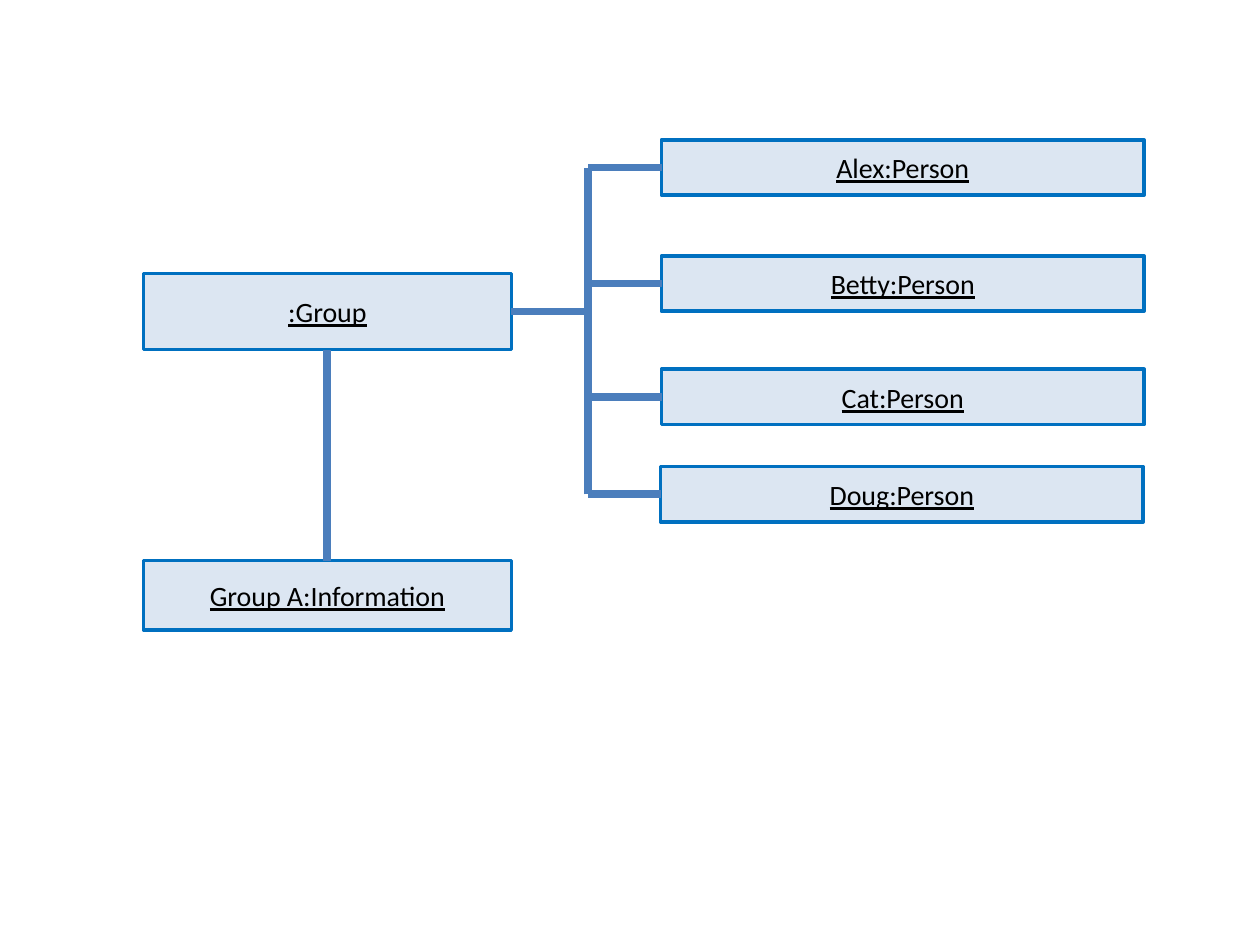
from pptx import Presentation
from pptx.dml.color import RGBColor
from pptx.enum.shapes import MSO_CONNECTOR as Connector, MSO_SHAPE as Shape
from pptx.enum.text import MSO_ANCHOR as Anchor, PP_ALIGN as Align
from pptx.oxml.ns import qn
from pptx.util import Pt
from lxml.etree import SubElement

BOX_FILL = RGBColor(0xDC, 0xE6, 0xF2)
BOX_EDGE = RGBColor(0x00, 0x70, 0xC0)
LINK_BLUE = RGBColor(0x4B, 0x7E, 0xBC)
BLACK = RGBColor(0x00, 0x00, 0x00)

LABEL_FONT = {"name": "Calibri", "size": Pt(16), "underline": True}
TOP, LEFT, BOTTOM, RIGHT = range(4)

GROUP_LEFT, GROUP_WIDTH = 82, 210.2
PERSON_WIDTH, PERSON_HEIGHT = 275.8, 31.7
TRUNK_X = 336.2
PERSONS = [
    ("Alex:Person", 378, 79.9),
    ("Betty:Person", 378, 146.2),
    ("Cat:Person", 378, 211),
    ("Doug:Person", 377.5, 266.6),
]


def add_instance(slide, label, left, top, width, height):
    """Add a box with an underlined, centred instance name."""
    instance = slide.shapes.add_shape(
        Shape.RECTANGLE, Pt(left), Pt(top), Pt(width), Pt(height))
    instance.shadow.inherit = False
    instance.fill.solid()
    instance.fill.fore_color.rgb = BOX_FILL
    instance.line.color.rgb = BOX_EDGE
    instance.line.width = Pt(2)
    instance.text_frame.vertical_anchor = Anchor.MIDDLE
    paragraph = instance.text_frame.paragraphs[0]
    paragraph.alignment = Align.CENTER
    name = paragraph.add_run()
    name.text = label
    for attribute, value in LABEL_FONT.items():
        setattr(name.font, attribute, value)
    name.font.color.rgb = BLACK
    return instance


def add_link(slide, start, end):
    """Add a thick straight association line between two points."""
    link = slide.shapes.add_connector(Connector.STRAIGHT, *start, *end)
    link.line.color.rgb = LINK_BLUE
    link.line.width = Pt(4.5)
    SubElement(link._element.spPr, qn("a:effectLst"))
    return link


def middle(instance):
    """Return the height of the centre of a box."""
    return instance.top + instance.height // 2


def add_branch(slide, instance, side):
    """Join the side of a box to the trunk with a level line."""
    junction = (Pt(TRUNK_X), middle(instance))
    branch = add_link(slide, junction, junction)
    branch.begin_connect(instance, side)


def main():
    """Build the object diagram and save it."""
    deck = Presentation()
    deck.slide_width, deck.slide_height = Pt(720), Pt(540)
    slide = deck.slides.add_slide(deck.slide_layouts[6])

    group = add_instance(slide, ":Group", GROUP_LEFT, 156.2, GROUP_WIDTH, 43.6)
    information = add_instance(
        slide, "Group A:Information", GROUP_LEFT, 320.4, GROUP_WIDTH, 39.6)
    persons = [
        add_instance(slide, label, left, top, PERSON_WIDTH, PERSON_HEIGHT)
        for label, left, top in PERSONS
    ]

    group_centre = (group.left + group.width // 2, middle(group))
    ownership = add_link(slide, group_centre, group_centre)
    ownership.begin_connect(information, TOP)
    ownership.end_connect(group, BOTTOM)

    add_link(slide, (Pt(TRUNK_X), middle(persons[-1])),
             (Pt(TRUNK_X), middle(persons[0])))
    add_branch(slide, group, RIGHT)
    for person in persons:
        add_branch(slide, person, LEFT)

    deck.save("out.pptx")


if __name__ == "__main__":
    main()
